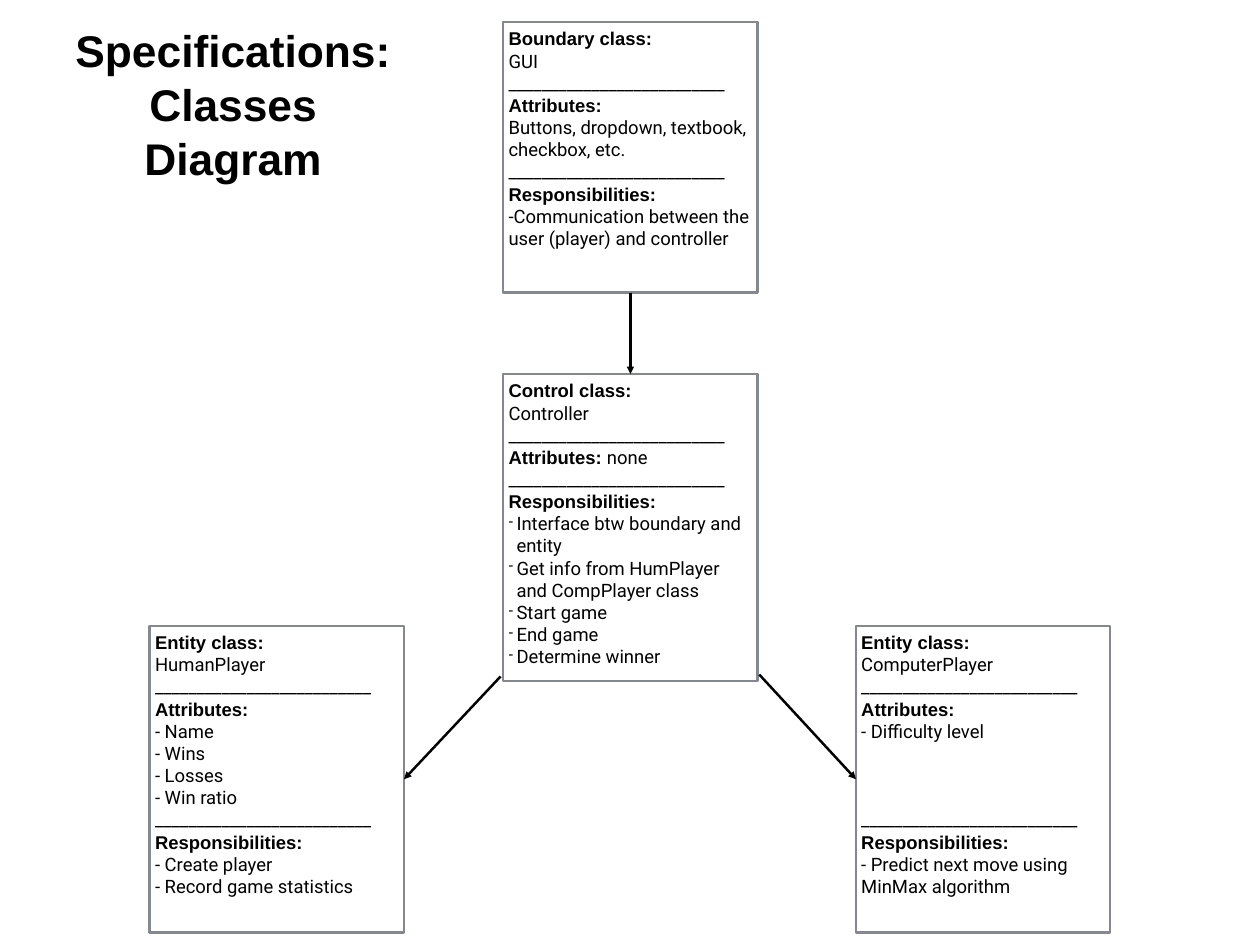
from dataclasses import dataclass

from lxml import etree
from pptx import Presentation
from pptx.dml.color import RGBColor
from pptx.enum.shapes import MSO_CONNECTOR, MSO_SHAPE
from pptx.enum.text import MSO_ANCHOR, MSO_AUTO_SIZE, PP_ALIGN
from pptx.oxml.ns import qn
from pptx.shapes.autoshape import Shape
from pptx.slide import Slide
from pptx.text.text import TextFrame, _Paragraph
from pptx.util import Inches, Pt

RECTANGLE = MSO_SHAPE.RECTANGLE
STRAIGHT = MSO_CONNECTOR.STRAIGHT
TOP, MIDDLE = MSO_ANCHOR.TOP, MSO_ANCHOR.MIDDLE
LEFT, CENTER = PP_ALIGN.LEFT, PP_ALIGN.CENTER
GROW, FIXED = MSO_AUTO_SIZE.SHAPE_TO_FIT_TEXT, MSO_AUTO_SIZE.NONE
SIDE_TOP, SIDE_LEFT, SIDE_BOTTOM, SIDE_RIGHT = range(4)


@dataclass(frozen=True)
class Theme:
    ink: str = "000000"
    border: str = "85888D"
    heading_font: str = "Arial"
    body_font: str = "Roboto"
    title_size: int = 36
    title_pitch: int = 44
    body_size: int = 15
    body_pitch: int = 18
    line_width: int = 2
    inset: float = 0.06


@dataclass(frozen=True)
class ClassCard:
    left: float
    top: float
    height: float
    kind: str
    name: str
    attributes: tuple[str, ...]
    responsibilities: tuple[str, ...]
    inline_attribute: str = ""
    bulleted: bool = False
    spare_lines: int = 0


@dataclass(frozen=True)
class Arrow:
    start: tuple[float, float]
    end: tuple[float, float]
    source: str
    target: str
    end_side: int
    start_side: int | None = None


THEME = Theme()
CARD_WIDTH = 2.87
DIVIDER = "_" * 26
CENTER_LEFT, ENTITY_TOP, TALL = 5.68, 7.06, 3.46

CARDS = (
    ClassCard(1.69, ENTITY_TOP, TALL, "Entity class:", "HumanPlayer",
              ("- Name", "- Wins", "- Losses", "- Win ratio"),
              ("- Create player", "- Record game statistics")),
    ClassCard(9.66, ENTITY_TOP, TALL, "Entity class:", "ComputerPlayer",
              ("- Difficulty level",),
              ("- Predict next move using MinMax algorithm",), spare_lines=3),
    ClassCard(CENTER_LEFT, 4.22, TALL, "Control class:", "Controller", (),
              ("Interface btw boundary and entity",
               "Get info from HumPlayer and CompPlayer class",
               "Start game", "End game", "Determine winner"),
              inline_attribute="none", bulleted=True),
    ClassCard(CENTER_LEFT, 0.25, 3.05, "Boundary class:", "GUI",
              ("Buttons, dropdown, textbook, checkbox, etc.",),
              ("-Communication between the user (player) and controller",)),
)

ARROWS = (
    Arrow((7.11, 3.34), (7.11, 4.18), "GUI", "Controller", SIDE_TOP, SIDE_BOTTOM),
    Arrow((5.65, 7.63), (4.58, 8.71), "Controller", "HumanPlayer", SIDE_RIGHT),
    Arrow((8.57, 7.61), (9.65, 8.74), "Controller", "ComputerPlayer", SIDE_LEFT),
)


def add_span(para: _Paragraph, text: str, *, bold: bool, size: int) -> None:
    span = para.add_run()
    span.text = text
    span.font.name = THEME.heading_font if bold else THEME.body_font
    span.font.size = Pt(size)
    span.font.bold = bold
    span.font.color.rgb = RGBColor.from_string(THEME.ink)


def add_text(frame: TextFrame, text: str, *, bold: bool = False,
             size: int = THEME.body_size, pitch: int = THEME.body_pitch,
             align: PP_ALIGN = LEFT, space_before: int = 0,
             bulleted: bool = False) -> _Paragraph:
    """Fill the frame's first paragraph, or append one when it has text."""
    para = frame.add_paragraph() if frame.text else frame.paragraphs[0]
    para.alignment = align
    para.line_spacing = Pt(pitch)
    para.space_before = Pt(space_before)
    if bulleted:
        add_dash_bullet(para)
    add_span(para, text, bold=bold, size=size)
    return para


def add_dash_bullet(para: _Paragraph) -> None:
    properties = para._p.get_or_add_pPr()
    properties.set("marL", str(Inches(0.09)))
    properties.set("indent", str(Inches(-0.09)))
    color = etree.SubElement(properties, qn("a:buClr"))
    etree.SubElement(color, qn("a:srgbClr"), val=THEME.ink)
    etree.SubElement(properties, qn("a:buSzPct"), val="75000")
    etree.SubElement(properties, qn("a:buChar"), char="-")


def set_up_frame(frame: TextFrame, *, anchor: MSO_ANCHOR, wrap: bool,
                 auto_size: MSO_AUTO_SIZE) -> None:
    frame.margin_left = frame.margin_right = Inches(THEME.inset)
    frame.margin_top = frame.margin_bottom = Inches(THEME.inset)
    frame.vertical_anchor = anchor
    frame.word_wrap = wrap
    frame.auto_size = auto_size


def add_title(slide: Slide) -> None:
    title = slide.shapes.title
    title.left, title.top = Inches(0.56), Inches(0.51)
    title.width, title.height = Inches(4.14), Inches(1.31)
    set_up_frame(title.text_frame, anchor=MIDDLE, wrap=False, auto_size=GROW)
    for line in ("Specifications:", "Classes Diagram"):
        add_text(title.text_frame, line, bold=True, size=THEME.title_size,
                 pitch=THEME.title_pitch, align=CENTER)


def add_card(slide: Slide, card: ClassCard) -> Shape:
    box = slide.shapes.add_shape(RECTANGLE, Inches(card.left), Inches(card.top),
                                 Inches(CARD_WIDTH), Inches(card.height))
    box.shadow.inherit = False
    box.fill.background()
    box.line.color.rgb = RGBColor.from_string(THEME.border)
    box.line.width = Pt(THEME.line_width)
    frame = box.text_frame
    set_up_frame(frame, anchor=TOP, wrap=True, auto_size=FIXED)

    add_text(frame, card.kind, bold=True)
    add_text(frame, card.name)
    add_text(frame, DIVIDER)
    if card.inline_attribute:
        para = add_text(frame, "Attributes: ", bold=True)
        add_span(para, card.inline_attribute, bold=False, size=THEME.body_size)
    else:
        add_text(frame, "Attributes:", bold=True)
    for attribute in card.attributes:
        add_text(frame, attribute)
    add_text(frame, DIVIDER, space_before=card.spare_lines * THEME.body_pitch)
    add_text(frame, "Responsibilities:", bold=True)
    for duty in card.responsibilities:
        add_text(frame, duty, bulleted=card.bulleted)
    return box


def add_arrow(slide: Slide, arrow: Arrow, boxes: dict[str, Shape]) -> None:
    points = (Inches(value) for value in (*arrow.start, *arrow.end))
    connector = slide.shapes.add_connector(STRAIGHT, *points)
    if arrow.start_side is not None:
        connector.begin_connect(boxes[arrow.source], arrow.start_side)
    connector.end_connect(boxes[arrow.target], arrow.end_side)
    connector.line.color.rgb = RGBColor.from_string(THEME.ink)
    connector.line.width = Pt(THEME.line_width)
    etree.SubElement(connector.line._get_or_add_ln(), qn("a:tailEnd"), type="triangle")
    etree.SubElement(connector._element.spPr, qn("a:effectLst"))


def main() -> None:
    deck = Presentation()
    deck.slide_width, deck.slide_height = Inches(14.22), Inches(10.66)
    page = deck.slides.add_slide(deck.slide_layouts.get_by_name("Title Only"))
    add_title(page)
    boxes = {card.name: add_card(page, card) for card in CARDS}
    for arrow in ARROWS:
        add_arrow(page, arrow, boxes)
    deck.save("out.pptx")


if __name__ == "__main__":
    main()
